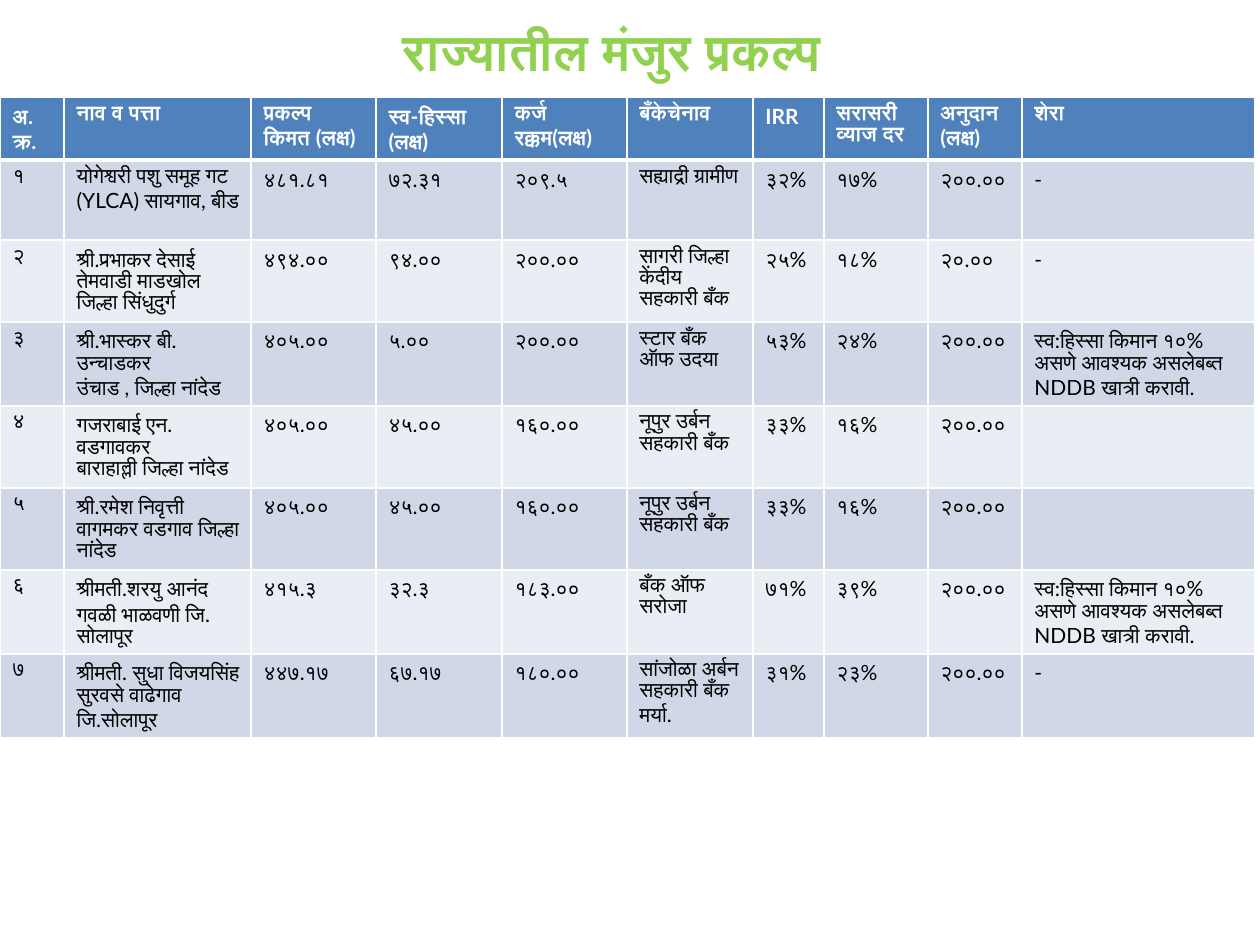
import pptx
import pptx.dml.color
import pptx.enum.lang
import pptx.enum.text
import pptx.oxml
import pptx.oxml.ns
import pptx.util

PX = 914400 / 126
FONT = "Lato"
COLORS = {
    "title": "92D050",
    "header": "4F81BD",
    "odd": "D0D8E8",
    "even": "E9EDF4",
    "white": "FFFFFF",
    "black": "000000",
}
COLUMN_WIDTHS = [64, 187, 125, 126, 125, 126, 71, 104, 94, 233]
ROW_HEIGHTS = [63, 80, 80, 84, 80, 80, 84, 84]
NAME_COLUMN = 1

HEADINGS = ["अ.क्र.", "नाव व पत्ता", "प्रकल्प किमत (लक्ष)", "स्व-हिस्सा (लक्ष)",
            "कर्ज रक्कम(लक्ष)", "बँकेचेनाव", "IRR", "सरासरी व्याज दर",
            "अनुदान (लक्ष)", "शेरा"]
SHARE_REMARK = "स्व:हिस्सा किमान १०% असणे आवश्यक असलेबब्त NDDB खात्री करावी."
PROJECTS = [
    ["१", "योगेश्वरी पशु समूह गट (YLCA) सायगाव, बीड", "४८१.८१", "७२.३१", "२०९.५",
     "सह्याद्री ग्रामीण", "३२%", "१७%", "२००.००", "-"],
    ["२", "श्री.प्रभाकर देसाई तेमवाडी माडखोल जिल्हा सिंधुदुर्ग", "४९४.००", "९४.००", "२००.००",
     "सागरी जिल्हा केंदीय सहकारी बँक", "२५%", "१८%", "२०.००", "-"],
    ["३", "श्री.भास्कर बी. उन्चाडकर\nउंचाड , जिल्हा नांदेड", "४०५.००", "५.००", "२००.००",
     "स्टार बँक ऑफ उदया", "५३%", "२४%", "२००.००", SHARE_REMARK],
    ["४", "गजराबाई एन. वडगावकर\nबाराहाल्ली जिल्हा नांदेड", "४०५.००", "४५.००", "१६०.००",
     "नूपुर उर्बन सहकारी बँक", "३३%", "१६%", "२००.००", ""],
    ["५", "श्री.रमेश निवृत्ती वागमकर वडगाव जिल्हा नांदेड", "४०५.००", "४५.००", "१६०.००",
     "नूपुर उर्बन सहकारी बँक", "३३%", "१६%", "२००.००", ""],
    ["६", "श्रीमती.शरयु आनंद गवळी भाळवणी जि. सोलापूर", "४१५.३", "३२.३", "१८३.००",
     "बँक ऑफ सरोजा", "७१%", "३९%", "२००.००", SHARE_REMARK],
    ["७", "श्रीमती. सुधा विजयसिंह सुरवसे वाढेगाव जि.सोलापूर", "४४७.१७", "६७.१७", "१८०.००",
     "सांजोळा अर्बन सहकारी बँक मर्या.", "३१%", "२३%", "२००.००", "-"],
]


def px(length):
    return pptx.util.Emu(round(length * PX))


def rgb(name):
    return pptx.dml.color.RGBColor.from_string(COLORS[name])


def write_text(frame, text, size=12, color="black", bold=False, align=None):
    frame.text = text
    for paragraph in frame.paragraphs:
        paragraph.alignment = align
        for run in paragraph.runs:
            run.font.name = FONT
            run.font.size = pptx.util.Pt(size)
            run.font.bold = bold
            run.font.color.rgb = rgb(color)
            run.font.language_id = pptx.enum.lang.MSO_LANGUAGE_ID.MARATHI


def set_borders(cell, bottom=1):
    properties = cell._tc.get_or_add_tcPr()
    widths = {"lnL": 1, "lnR": 1, "lnT": 1, "lnB": bottom}
    # Border elements come before the fill
    for position, (side, points) in enumerate(widths.items()):
        border = pptx.oxml.parse_xml(
            f'<a:{side} {pptx.oxml.ns.nsdecls("a")} w="{pptx.util.Pt(points)}">'
            f'<a:solidFill><a:srgbClr val="{COLORS["white"]}"/></a:solidFill></a:{side}>')
        properties.insert(position, border)


def add_title(slide, left, top, width, height):
    title = slide.shapes.add_textbox(px(left), px(top), px(width), px(height))
    title.text_frame.word_wrap = True
    title.text_frame.vertical_anchor = pptx.enum.text.MSO_ANCHOR.MIDDLE
    write_text(title.text_frame, "राज्यातील मंजुर प्रकल्प", size=28.8, color="title",
               bold=True, align=pptx.enum.text.PP_ALIGN.CENTER)


def add_project_table(slide, left, top, width, height):
    records = [HEADINGS] + PROJECTS
    projects = slide.shapes.add_table(len(records), len(HEADINGS), px(left), px(top),
                                      px(width), px(height)).table
    projects.horz_banding = False
    for column, share in zip(projects.columns, COLUMN_WIDTHS):
        column.width = px(width * share / sum(COLUMN_WIDTHS))
    for row, share in zip(projects.rows, ROW_HEIGHTS):
        row.height = px(height * share / sum(ROW_HEIGHTS))

    for number, record in enumerate(records):
        is_header = number == 0
        band = "header" if is_header else ("odd" if number % 2 else "even")
        for position, (cell, text) in enumerate(zip(projects.rows[number].cells, record)):
            cell.fill.solid()
            cell.fill.fore_color.rgb = rgb(band)
            # Tight margins keep three lines within a row
            cell.margin_bottom = 0
            if position == NAME_COLUMN:
                cell.margin_right = px(6)
            write_text(cell.text_frame, text, bold=is_header,
                       color="white" if is_header else "black")
            set_borders(cell, bottom=3 if is_header else 1)


def main():
    deck = pptx.Presentation()
    deck.slide_width, deck.slide_height = px(1260), px(945)
    slide = deck.slides.add_slide(deck.slide_layouts[6])
    add_title(slide, 45, 16, 1134, 68)
    add_project_table(slide, 0, 97, sum(COLUMN_WIDTHS), sum(ROW_HEIGHTS))
    deck.save("out.pptx")


if __name__ == "__main__":
    main()
